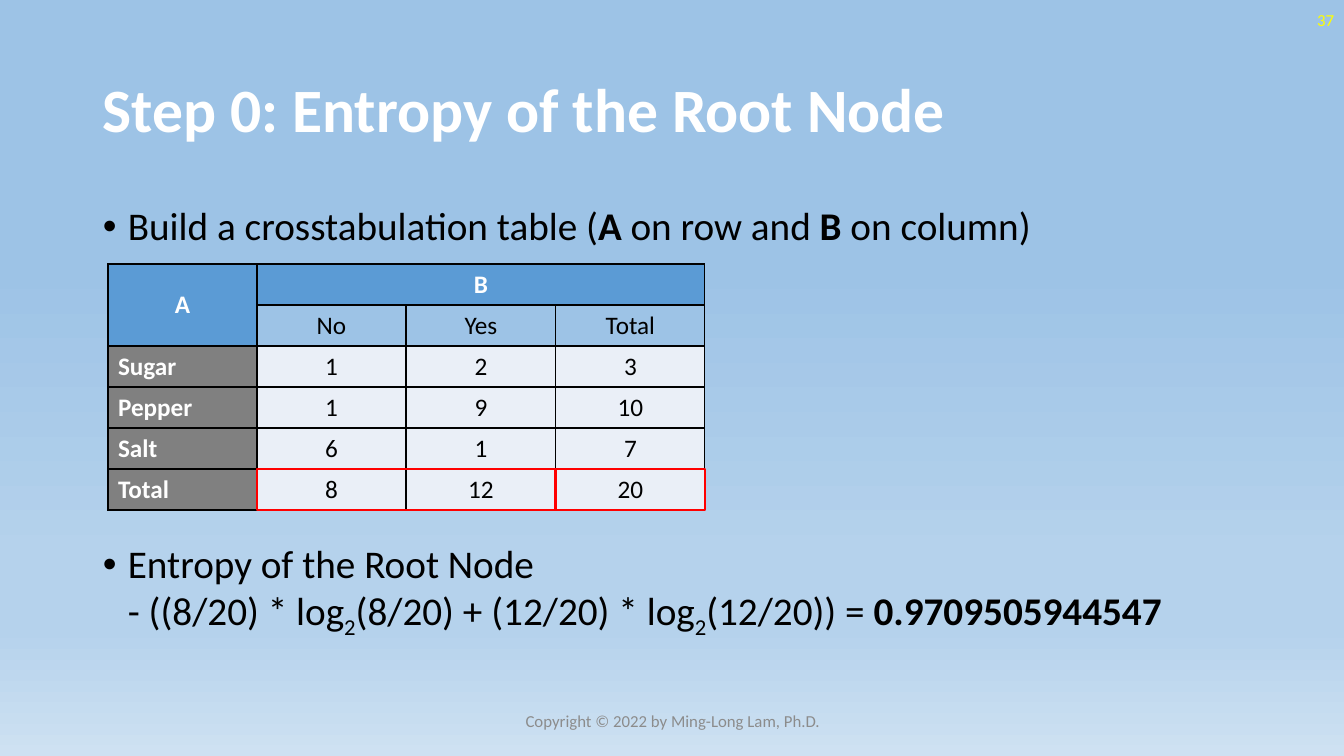
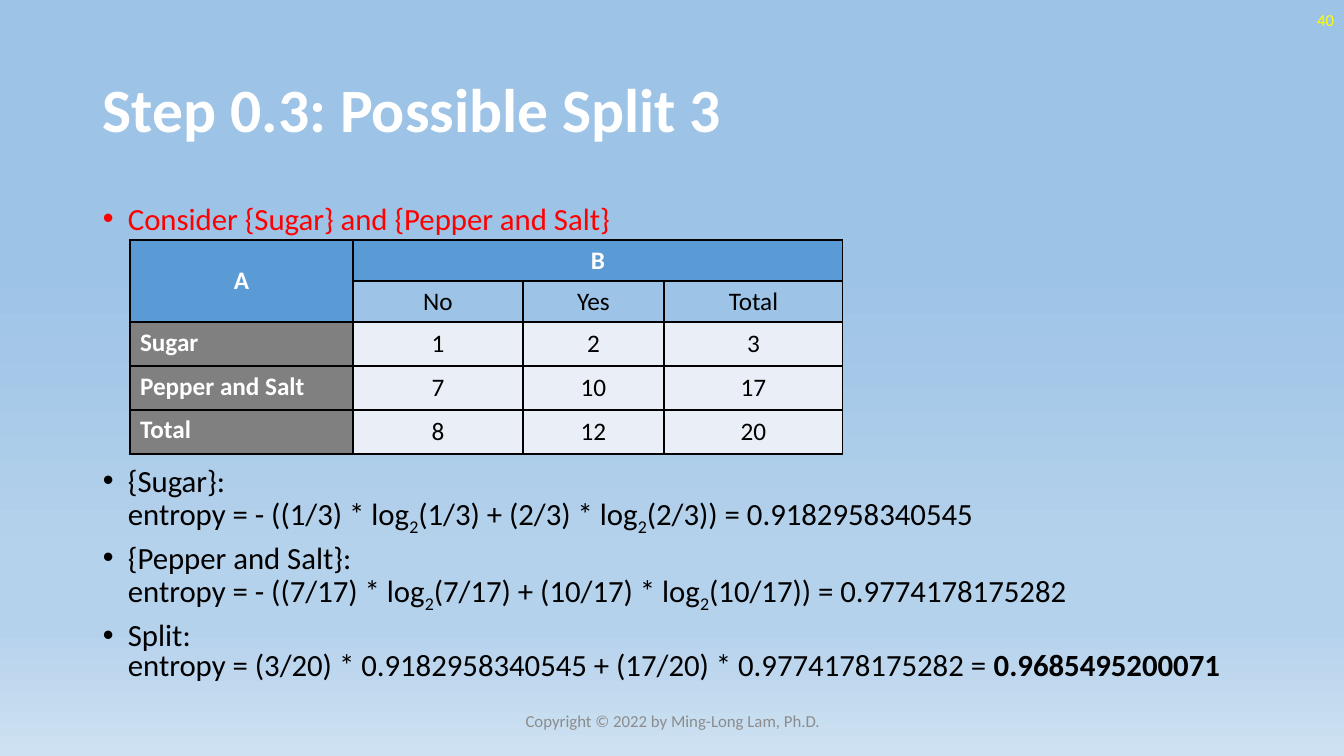
from dataclasses import dataclass
from typing import Any, Optional

import lxml.etree
import pptx
import pptx.dml.color
import pptx.enum.shapes
import pptx.enum.text
import pptx.oxml.ns
import pptx.util

SLIDE_WIDTH, SLIDE_HEIGHT = 1344, 756
EMU_PER_PX = 12192000 / SLIDE_WIDTH
FONT = "Calibri"
WHITE, BLACK, RED = "FFFFFF", "000000", "FF0000"
FOOTER_GREY, NUMBER_YELLOW = "8C8C8C", "FFFF00"
HEADER_BLUE, SUBHEADER_BLUE = "5B9BD5", "9DC3E6"
LABEL_GREY, VALUE_FILL = "808080", "EAEFF7"
BACKGROUND_STOPS = ((35, "9DC3E6"), (74, "B5D2EC"), (83, "B5D2EC"), (100, "CEE1F2"))
BODY_LEFT, BODY_TOP, BODY_WIDTH, BODY_BOTTOM = 93, 202, 1159, 681
BULLET_INDENT = 25
COPYRIGHT = "Copyright © 2022 by Ming-Long Lam, Ph.D."
Align = pptx.enum.text.PP_ALIGN
Anchor = pptx.enum.text.MSO_ANCHOR


@dataclass(frozen=True)
class Box:
    left: int
    top: int
    width: int
    height: int


@dataclass(frozen=True)
class Run:
    text: str
    bold: bool = False
    subscript: bool = False


@dataclass(frozen=True)
class Style:
    size: int
    color: str
    bold: bool = False
    align: Optional[Align] = Align.LEFT
    anchor: Anchor = Anchor.TOP
    line_spacing: float = 1.0
    bullet: bool = False


@dataclass(frozen=True)
class Crosstab:
    left: int
    top: int
    widths: tuple[int, ...]
    heights: tuple[int, ...]
    rows: tuple[tuple[str, ...], ...]
    highlights: tuple[tuple[int, int], ...] = ()


@dataclass(frozen=True)
class SplitSlide:
    title: str
    number: int
    size: int
    line_spacing: float
    intro: list[Run]
    intro_color: str
    crosstab: Crosstab
    results_top: int
    results: list[list[Run]]


TITLE_BOX = Box(BODY_LEFT, 40, BODY_WIDTH, 146)
FOOTER_BOX = Box(446, 701, 454, 40)
NUMBER_BOX = Box(1042, 0, 302, 40)
TITLE_STYLE = Style(44, WHITE, bold=True, anchor=Anchor.MIDDLE, line_spacing=0.9)
FOOTER_STYLE = Style(12, FOOTER_GREY, align=Align.CENTER, anchor=Anchor.MIDDLE)
NUMBER_STYLE = Style(12, NUMBER_YELLOW, align=Align.RIGHT, anchor=Anchor.MIDDLE)
HEADER_STYLE = Style(18, WHITE, bold=True, align=Align.CENTER, anchor=Anchor.MIDDLE)
LABEL_STYLE = Style(18, WHITE, bold=True)
VALUE_STYLE = Style(18, BLACK, align=Align.CENTER, anchor=Anchor.MIDDLE)


def px(length: int) -> int:
    return round(length * EMU_PER_PX)


def rgb(color: str) -> pptx.dml.color.RGBColor:
    return pptx.dml.color.RGBColor.from_string(color)


def place(box: Box) -> tuple[int, ...]:
    return tuple(px(length) for length in (box.left, box.top, box.width, box.height))


def apply_format(target: Any, values: dict[str, Any]) -> None:
    for name, value in values.items():
        setattr(target, name, value)


def add_element(parent: Any, tag: str, **attributes: str) -> Any:
    return lxml.etree.SubElement(parent, pptx.oxml.ns.qn(tag), attributes)


def entropy_runs(lead: str, first: str, second: str, result: str = "") -> list[Run]:
    base = Run("2", subscript=True)
    return [
        Run(f"{lead}- (({first}) * log"),
        base,
        Run(f"({first}) + ({second}) * log"),
        base,
        Run(f"({second})) = {result}"),
    ]


def add_run(paragraph: Any, text: str, style: Style, source: Run) -> None:
    run = paragraph.add_run()
    run.text = text
    apply_format(run.font, {
        "name": FONT,
        "size": pptx.util.Pt(style.size),
        "bold": style.bold or source.bold,
    })
    run.font.color.rgb = rgb(style.color)
    if source.subscript:
        run._r.get_or_add_rPr().set("baseline", "-25000")


def write_paragraphs(frame: Any, paragraphs: list[list[Run]], style: Style) -> None:
    for index, runs in enumerate(paragraphs):
        paragraph = frame.add_paragraph() if index else frame.paragraphs[0]
        apply_format(paragraph, {
            "alignment": style.align,
            "line_spacing": style.line_spacing,
            "space_before": pptx.util.Pt(10 if index else 0),
        })
        if style.bullet:
            properties = paragraph._p.get_or_add_pPr()
            properties.set("marL", str(px(BULLET_INDENT)))
            properties.set("indent", str(-px(BULLET_INDENT)))
            add_element(properties, "a:buFont", typeface="Arial")
            add_element(properties, "a:buChar", char="•")
        for run in runs:
            for line_index, line in enumerate(run.text.split("\n")):
                if line_index:
                    paragraph.add_line_break()
                add_run(paragraph, line, style, run)


def add_text(slide: Any, box: Box, paragraphs: list[list[Run]], style: Style) -> None:
    frame = slide.shapes.add_textbox(*place(box)).text_frame
    apply_format(frame, {"word_wrap": True, "vertical_anchor": style.anchor})
    write_paragraphs(frame, paragraphs, style)


def cell_look(row: int, column: int) -> tuple[str, Style]:
    if row == 0 or (row == 1 and column == 0):
        return HEADER_BLUE, HEADER_STYLE
    if row == 1:
        return SUBHEADER_BLUE, VALUE_STYLE
    if column == 0:
        return LABEL_GREY, LABEL_STYLE
    return VALUE_FILL, VALUE_STYLE


def add_borders(cell: Any) -> None:
    properties = cell._tc.get_or_add_tcPr()
    for side in ("a:lnL", "a:lnR", "a:lnT", "a:lnB"):
        line = add_element(properties, side, w=str(pptx.util.Pt(1)))
        add_element(add_element(line, "a:solidFill"), "a:srgbClr", val=BLACK)


def add_crosstab(slide: Any, crosstab: Crosstab) -> None:
    box = Box(crosstab.left, crosstab.top, sum(crosstab.widths), sum(crosstab.heights))
    table = slide.shapes.add_table(
        len(crosstab.heights), len(crosstab.widths), *place(box)
    ).table
    apply_format(table, {"first_row": False, "horz_banding": False})
    for column, width in zip(table.columns, crosstab.widths):
        column.width = px(width)
    for row, height in zip(table.rows, crosstab.heights):
        row.height = px(height)
    table.cell(0, 0).merge(table.cell(1, 0))
    table.cell(0, 1).merge(table.cell(0, len(crosstab.widths) - 1))
    for row_index, texts in enumerate(crosstab.rows):
        for column_index, text in enumerate(texts):
            cell = table.cell(row_index, column_index)
            fill, style = cell_look(row_index, column_index)
            add_borders(cell)
            cell.fill.solid()
            cell.fill.fore_color.rgb = rgb(fill)
            cell.vertical_anchor = style.anchor
            if not cell.is_spanned:
                write_paragraphs(cell.text_frame, [[Run(text)]], style)


def add_highlights(slide: Any, crosstab: Crosstab) -> None:
    top = crosstab.top + sum(crosstab.heights[:-1])
    for first, end in crosstab.highlights:
        left = crosstab.left + sum(crosstab.widths[:first])
        box = Box(left, top, sum(crosstab.widths[first:end]), crosstab.heights[-1])
        shape = slide.shapes.add_shape(
            pptx.enum.shapes.MSO_SHAPE.RECTANGLE, *place(box)
        )
        shape.shadow.inherit = False
        shape.fill.background()
        shape.line.color.rgb = rgb(RED)
        shape.line.width = pptx.util.Pt(2)


def set_background(master: Any) -> None:
    fill = master.background.fill
    fill.gradient()
    fill.gradient_angle = 270
    stops = master.element.find(".//" + pptx.oxml.ns.qn("a:gsLst"))
    for stop in list(stops):
        stops.remove(stop)
    for position, color in BACKGROUND_STOPS:
        stop = add_element(stops, "a:gs", pos=str(position * 1000))
        add_element(stop, "a:srgbClr", val=color)


def add_split_slide(presentation: Any, content: SplitSlide) -> None:
    slide = presentation.slides.add_slide(presentation.slide_layouts[6])
    intro_style, results_style = (
        Style(content.size, color, line_spacing=content.line_spacing, bullet=True)
        for color in (content.intro_color, BLACK)
    )
    results_box = Box(
        BODY_LEFT, content.results_top, BODY_WIDTH, BODY_BOTTOM - content.results_top
    )
    add_text(slide, TITLE_BOX, [[Run(content.title)]], TITLE_STYLE)
    add_text(slide, Box(BODY_LEFT, BODY_TOP, BODY_WIDTH, 50), [content.intro], intro_style)
    add_text(slide, results_box, content.results, results_style)
    add_text(slide, FOOTER_BOX, [[Run(COPYRIGHT)]], FOOTER_STYLE)
    add_text(slide, NUMBER_BOX, [[Run(str(content.number))]], NUMBER_STYLE)
    add_crosstab(slide, content.crosstab)
    add_highlights(slide, content.crosstab)


HEADER_ROWS = (("A", "B", "", ""), ("", "No", "Yes", "Total"))
SUGAR_ROW = ("Sugar", "1", "2", "3")
TOTAL_ROW = ("Total", "8", "12", "20")

SLIDES = (
    SplitSlide(
        title="Step 0: Entropy of the Root Node",
        number=37,
        size=28,
        line_spacing=0.9,
        intro=[
            Run("Build a crosstabulation table ("),
            Run("A", bold=True),
            Run(" on row and "),
            Run("B", bold=True),
            Run(" on column)"),
        ],
        intro_color=BLACK,
        crosstab=Crosstab(
            108, 264, (149, 149, 150, 149), (41,) * 6,
            (*HEADER_ROWS, SUGAR_ROW, ("Pepper", "1", "9", "10"),
             ("Salt", "6", "1", "7"), TOTAL_ROW),
            highlights=((1, 3), (3, 4)),
        ),
        results_top=540,
        results=[
            entropy_runs("Entropy of the Root Node\n", "8/20", "12/20")
            + [Run("0.9709505944547", bold=True)],
        ],
    ),
    SplitSlide(
        title="Step 0.3: Possible Split 3",
        number=40,
        size=22,
        line_spacing=0.8,
        intro=[Run("Consider {Sugar} and {Pepper and Salt}")],
        intro_color=RED,
        crosstab=Crosstab(
            130, 240, (223, 170, 141, 179), (41, 41, 44, 44, 44),
            (*HEADER_ROWS, SUGAR_ROW, ("Pepper and Salt", "7", "10", "17"), TOTAL_ROW),
        ),
        results_top=464,
        results=[
            entropy_runs("{Sugar}:\nentropy = ", "1/3", "2/3", "0.9182958340545"),
            entropy_runs("{Pepper and Salt}:\nentropy = ", "7/17", "10/17", "0.9774178175282"),
            [
                Run("Split:\nentropy = (3/20) * 0.9182958340545"
                    " + (17/20) * 0.9774178175282 = "),
                Run("0.9685495200071", bold=True),
            ],
        ],
    ),
)


def main() -> None:
    presentation = pptx.Presentation()
    apply_format(presentation, {
        "slide_width": px(SLIDE_WIDTH),
        "slide_height": px(SLIDE_HEIGHT),
    })
    set_background(presentation.slide_master)
    for content in SLIDES:
        add_split_slide(presentation, content)
    presentation.save("out.pptx")


if __name__ == "__main__":
    main()
